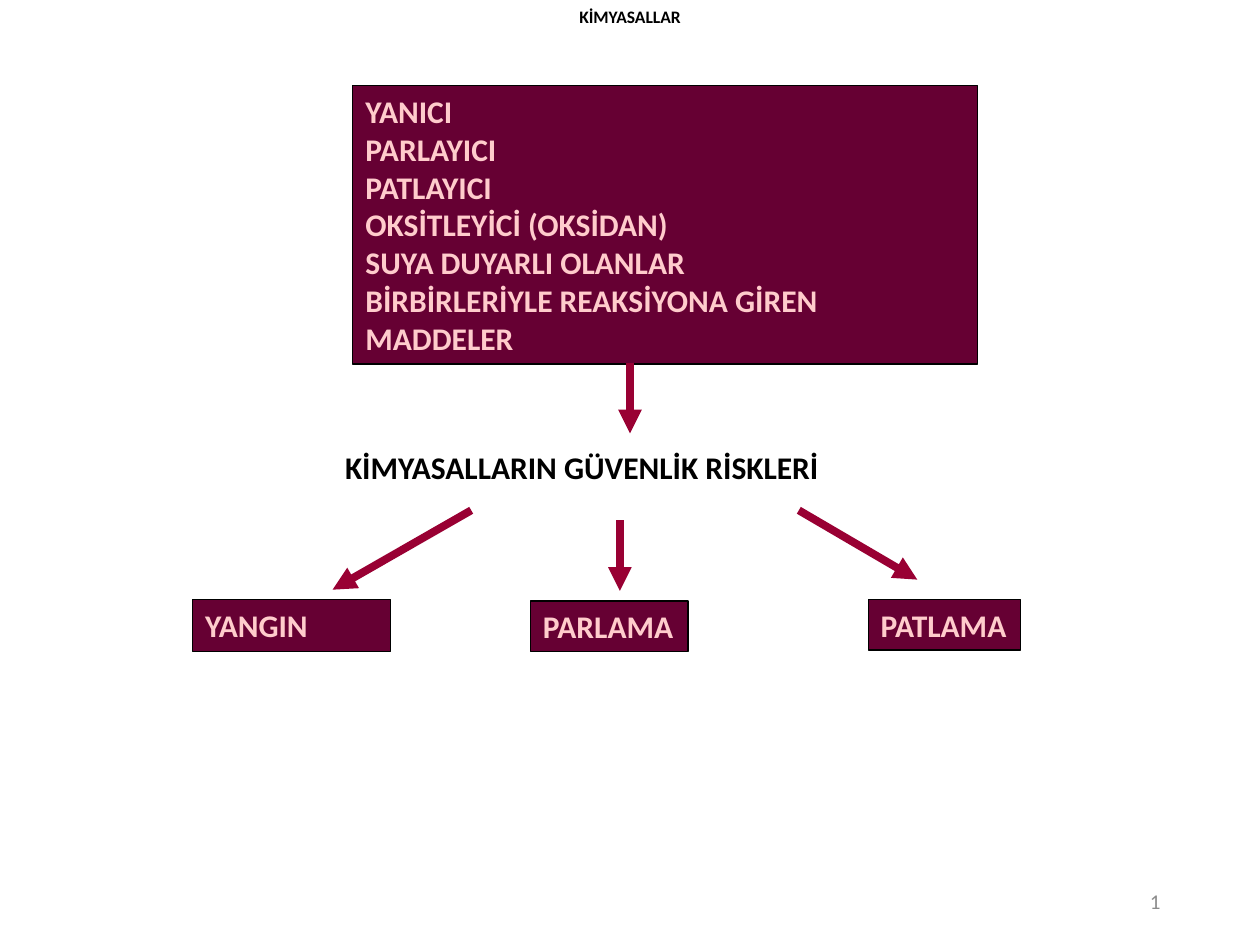
from dataclasses import dataclass

from lxml.etree import SubElement
from pptx import Presentation
from pptx.dml.color import RGBColor
from pptx.enum.shapes import MSO_CONNECTOR, MSO_SHAPE
from pptx.enum.text import MSO_ANCHOR, MSO_AUTO_SIZE, PP_ALIGN
from pptx.oxml.ns import qn
from pptx.util import Inches, Pt


@dataclass(frozen=True)
class Theme:
    font: str = "Calibri"
    ink: str = "000000"
    panel: str = "660033"
    panel_text: str = "FFCCCC"
    arrow: str = "990033"
    muted: str = "8C8C8C"
    title_size: float = 10
    text_size: float = 18
    number_size: float = 12
    border_width: float = 0.75
    arrow_width: float = 4.5


def write_text(shape, lines, *, size, color, bold=True, align=PP_ALIGN.LEFT,
               anchor=MSO_ANCHOR.TOP, wrap=True, grow=True, font=Theme.font):
    """Fill a shape with one unbulleted paragraph per line."""
    frame = shape.text_frame
    frame.word_wrap = wrap
    frame.auto_size = MSO_AUTO_SIZE.SHAPE_TO_FIT_TEXT if grow else MSO_AUTO_SIZE.NONE
    frame.vertical_anchor = anchor
    for index, line in enumerate(lines):
        paragraph = frame.paragraphs[0] if index == 0 else frame.add_paragraph()
        paragraph.alignment = align
        paragraph.space_before = Pt(0)
        properties = paragraph._p.get_or_add_pPr()
        properties.set("marL", "0")
        properties.set("indent", "0")
        SubElement(properties, qn("a:buNone"))
        run = paragraph.add_run()
        run.text = line
        run.font.name = font
        run.font.size = Pt(size)
        run.font.bold = bold
        run.font.color.rgb = RGBColor.from_string(color)


class SlideBuilder:
    def __init__(self, slide, theme):
        self.slide = slide
        self.theme = theme

    def place(self, shape, left, top, width, height):
        shape.left, shape.top = Inches(left), Inches(top)
        shape.width, shape.height = Inches(width), Inches(height)

    def paint_panel(self, shape):
        shape.fill.solid()
        shape.fill.fore_color.rgb = RGBColor.from_string(self.theme.panel)
        shape.line.color.rgb = RGBColor.from_string(self.theme.ink)
        shape.line.width = Pt(self.theme.border_width)

    def title(self, text, *box):
        shape = self.slide.shapes.title
        self.place(shape, *box)
        write_text(shape, [text], size=self.theme.title_size,
                   color=self.theme.ink, align=PP_ALIGN.CENTER)

    def list_panel(self, lines, *box):
        shape = self.slide.placeholders[1]
        self.place(shape, *box)
        self.paint_panel(shape)
        write_text(shape, lines, size=self.theme.text_size,
                   color=self.theme.panel_text, grow=False)

    def panel(self, text, *box, wrap=False):
        shape = self.slide.shapes.add_shape(MSO_SHAPE.RECTANGLE, *map(Inches, box))
        shape.shadow.inherit = False
        self.paint_panel(shape)
        write_text(shape, [text], size=self.theme.text_size,
                   color=self.theme.panel_text, wrap=wrap)

    def heading(self, text, *box):
        shape = self.slide.shapes.add_textbox(*map(Inches, box))
        write_text(shape, [text], size=self.theme.text_size,
                   color=self.theme.ink, wrap=False)

    def arrow(self, start, end):
        connector = self.slide.shapes.add_connector(
            MSO_CONNECTOR.STRAIGHT, *map(Inches, start + end))
        connector.line.color.rgb = RGBColor.from_string(self.theme.arrow)
        connector.line.width = Pt(self.theme.arrow_width)
        SubElement(connector.line._get_or_add_ln(), qn("a:tailEnd"), type="triangle")
        SubElement(connector._element.spPr, qn("a:effectLst"))

    def slide_number(self, number, *box):
        """Add the number as a live slide-number field."""
        shape = self.slide.shapes.add_textbox(*map(Inches, box))
        write_text(shape, [number], size=self.theme.number_size,
                   color=self.theme.muted, bold=False, align=PP_ALIGN.RIGHT,
                   anchor=MSO_ANCHOR.MIDDLE, grow=False)
        paragraph = shape.text_frame.paragraphs[0]
        run = paragraph.runs[0]._r
        field = SubElement(paragraph._p, qn("a:fld"), type="slidenum",
                           id="{B6F15528-21DE-4FAA-801E-634DDDAF4B2B}")
        field.extend(list(run))
        paragraph._p.remove(run)


def main():
    presentation = Presentation()
    presentation.slide_width = Inches(10)
    presentation.slide_height = Inches(7.5)
    slide = presentation.slides.add_slide(presentation.slide_layouts[1])
    builder = SlideBuilder(slide, Theme())

    builder.title("KİMYASALLAR", 0, 0, 10, 0.27)
    builder.list_panel(
        ["YANICI", "PARLAYICI", "PATLAYICI", "OKSİTLEYİCİ (OKSİDAN)",
         "SUYA DUYARLI OLANLAR", "BİRBİRLERİYLE REAKSİYONA GİREN", "MADDELER"],
        2.8, 0.68, 4.96, 2.21)
    builder.heading("KİMYASALLARIN GÜVENLİK RİSKLERİ", 2.64, 3.51, 4, 0.4)

    builder.panel("YANGIN", 1.53, 4.76, 1.57, 0.41, wrap=True)
    builder.panel("PARLAMA", 4.21, 4.77, 1.25, 0.4)
    builder.panel("PATLAMA", 6.89, 4.76, 1.21, 0.4)

    for start, end in [
        ((5, 2.88), (5, 3.44)),
        ((3.74, 4.05), (2.64, 4.68)),
        ((4.92, 4.13), (4.92, 4.69)),
        ((6.34, 4.05), (7.28, 4.6)),
    ]:
        builder.arrow(start, end)

    builder.slide_number("1", 7.06, 6.95, 2.25, 0.4)
    presentation.save("out.pptx")


if __name__ == "__main__":
    main()
